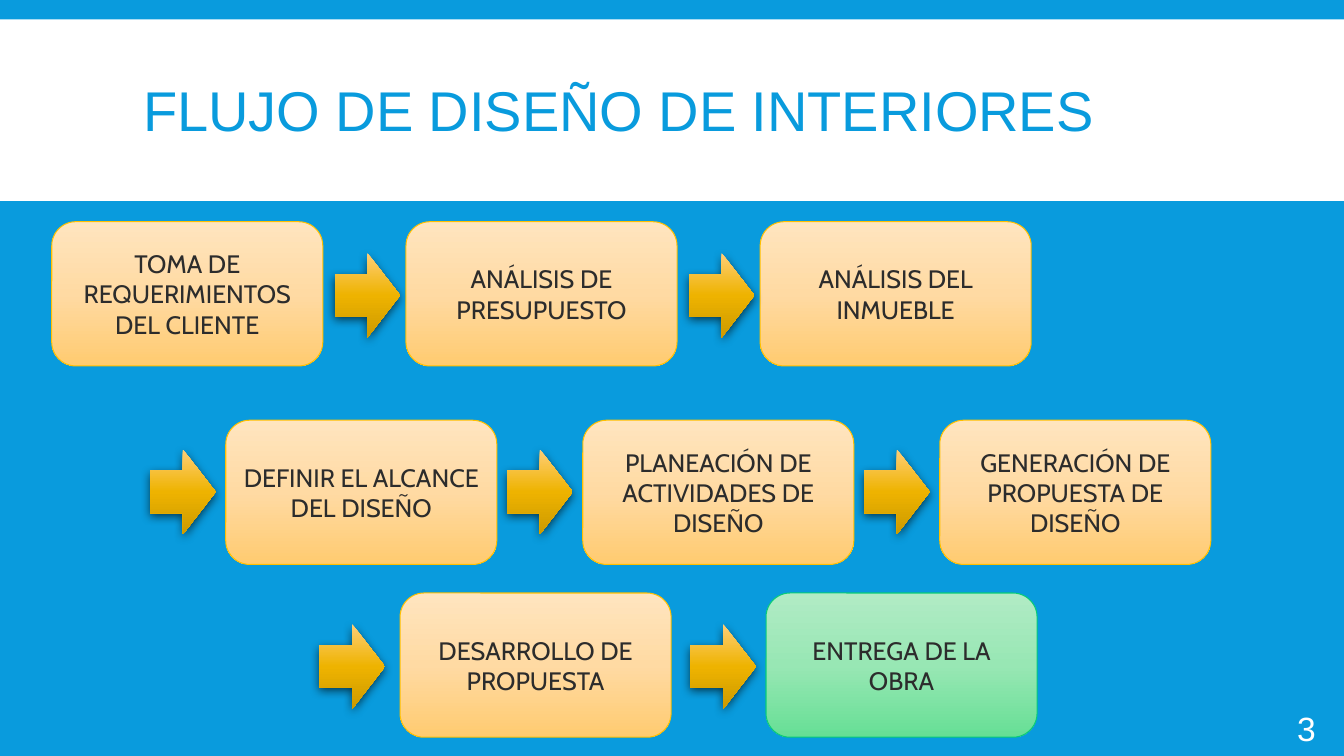
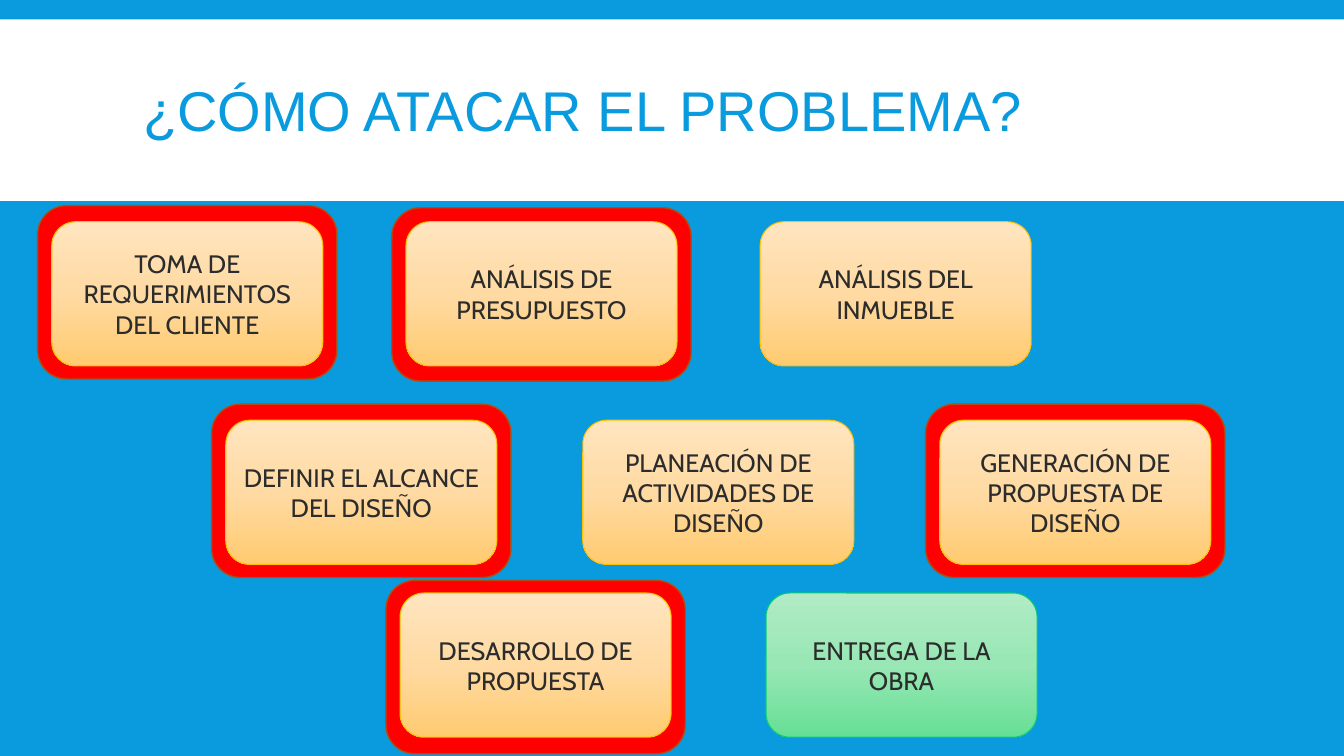
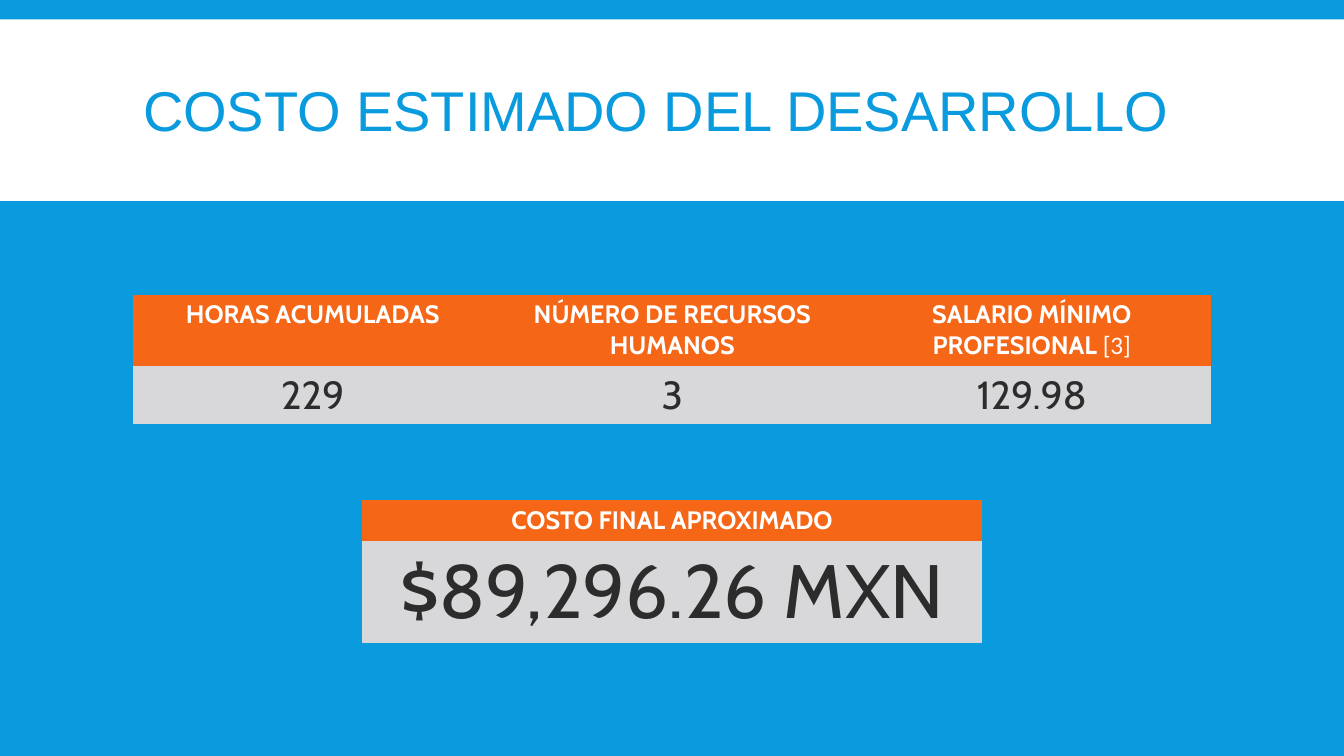
import copy

import lxml.etree
import pptx
import pptx.dml.color
import pptx.enum.shapes
import pptx.enum.text
import pptx.oxml.ns
import pptx.util

Pt = pptx.util.Pt
RGB = pptx.dml.color.RGBColor
SHAPE = pptx.enum.shapes.MSO_SHAPE
ALIGN = pptx.enum.text.PP_ALIGN
ANCHOR = pptx.enum.text.MSO_ANCHOR
qn = pptx.oxml.ns.qn

# Colours
BLUE = RGB(0x09, 0x9B, 0xDD)
WHITE = RGB(0xFF, 0xFF, 0xFF)
INK = RGB(0x2C, 0x2C, 0x2C)
ORANGE = RGB(0xF5, 0x66, 0x17)
GREY = RGB(0xD8, 0xD8, 0xDA)
RED = RGB(0xFF, 0x00, 0x00)
RUST = RGB(0xB5, 0x4B, 0x11)
GOLD = RGB(0xFF, 0xC0, 0x00)
GREEN = RGB(0x08, 0xCC, 0x78)
STEP_SHADES = (RGB(0xFF, 0xE5, 0xBF), RGB(0xFF, 0xDA, 0xA3), RGB(0xFF, 0xCB, 0x70))
DELIVERY_SHADES = (RGB(0xB1, 0xEB, 0xC5), RGB(0x98, 0xE7, 0xB4), RGB(0x66, 0xDF, 0x95))
ARROW_SHADES = (RGB(0xFF, 0xCE, 0x77), RGB(0xEE, 0xB3, 0x00), RGB(0xCC, 0x9A, 0x00))

# Text formats
TITLE_TEXT = {"size": Pt(40), "name": "Arial", "color": BLUE, "bold": False}
STEP_TEXT = {"size": Pt(18), "name": "Cabin", "color": INK}
PAGE_TEXT = {"size": Pt(24), "name": "Arial", "color": WHITE}
HEADER_TEXT = {"size": Pt(18), "name": "Cabin", "color": WHITE, "bold": True}
CITATION_TEXT = HEADER_TEXT | {"name": "Calibri", "bold": False}
VALUE_TEXT = {"size": Pt(28), "name": "Cabin", "color": INK, "bold": False}
TOTAL_TEXT = VALUE_TEXT | {"size": Pt(54)}

# Content: each step is (text, distance from its arrow's left edge to the box,
# rise of its red frame above the box); None means no arrow or no frame
FLOW_TITLE = "FLUJO DE DISEÑO DE INTERIORES"
PROBLEM_TITLE = "¿CÓMO ATACAR EL PROBLEMA?"
COST_TITLE = "COSTO ESTIMADO DEL DESARROLLO"
DELIVERY = "ENTREGA DE LA OBRA"
FLOW_ROWS = [
    {"left": 37, "top": 158.4, "pitch": 253, "arrow_drop": 22.3, "steps": [
        ("TOMA DE REQUERIMIENTOS DEL CLIENTE", None, 11.5),
        ("ANÁLISIS DE PRESUPUESTO", 51, 10),
        ("ANÁLISIS DEL INMUEBLE", 51, None)]},
    {"left": 161.3, "top": 300.2, "pitch": 255, "arrow_drop": 20.9, "steps": [
        ("DEFINIR EL ALCANCE DEL DISEÑO", 54, 11.5),
        ("PLANEACIÓN DE ACTIVIDADES DE DISEÑO", 54, None),
        ("GENERACIÓN DE PROPUESTA DE DISEÑO", 54, 11.5)]},
    {"left": 285.8, "top": 423.6, "pitch": 261.4, "arrow_drop": 22.3, "steps": [
        ("DESARROLLO DE PROPUESTA", 57.6, 9),
        (DELIVERY, 54, None)]},
]
# Table cells are lists of (text, format) runs
COST_TABLES = [
    {"left": 95, "top": 210.4, "width": 770.4, "heights": (51.4, 40.7), "rows": [
        [[("HORAS ACUMULADAS", HEADER_TEXT)],
         [("NÚMERO DE RECURSOS HUMANOS", HEADER_TEXT)],
         [("SALARIO MÍNIMO PROFESIONAL ", HEADER_TEXT), ("[3]", CITATION_TEXT)]],
        [[(value, VALUE_TEXT)] for value in ("229", "3", "129.98")]]},
    {"left": 258.6, "top": 357.1, "width": 442.8, "heights": (29.3, 72.6), "rows": [
        [[("COSTO FINAL APROXIMADO", HEADER_TEXT)]],
        [[("$89,296.26 MXN", TOTAL_TEXT)]]]},
]

# Sizes
SLIDE_W, SLIDE_H = 960, 540
BOX_W, BOX_H = 193.6, 103
FRAME_W, FRAME_H = 213.8, 123.8
ARROW_W, ARROW_H = 46.8, 60.5
PLAIN_TABLE_STYLE = "{2D5ABB26-0587-4C30-8999-92F81FD0307C}"


def add_runs(paragraph, runs, align=ALIGN.CENTER):
    paragraph.alignment = align
    for text, formats in runs:
        run = paragraph.add_run()
        run.text = text
        for key, value in formats.items():
            if key == "color":
                run.font.color.rgb = value
            else:
                setattr(run.font, key, value)


def add_block(slide, kind, left, top, width, height, fill, line=None, weight=0.75):
    """Add a preset shape; fill is one colour or a tuple of three shades."""
    block = slide.shapes.add_shape(kind, Pt(left), Pt(top), Pt(width), Pt(height))
    block.shadow.inherit = False
    if isinstance(fill, RGB):
        block.fill.solid()
        block.fill.fore_color.rgb = fill
    else:
        block.fill.gradient()
        block.fill.gradient_angle = 270
        stops = block.element.spPr.find(".//" + qn("a:gsLst"))
        stops.append(copy.deepcopy(stops[0]))
        for index, (stop, shade) in enumerate(zip(block.fill.gradient_stops, fill)):
            stop.position = index / 2
            stop.color.rgb = shade
    if line is None:
        block.line.fill.background()
    else:
        block.line.color.rgb = line
        block.line.width = Pt(weight)
    return block


def add_arrow(slide, left, top):
    arrow = add_block(slide, SHAPE.RIGHT_ARROW, left, top, ARROW_W, ARROW_H, ARROW_SHADES)
    effects = arrow.element.spPr.find(qn("a:effectLst"))
    shadow = lxml.etree.SubElement(effects, qn("a:outerShdw"), {
        "blurRad": str(Pt(7)), "dist": str(Pt(2.2)), "dir": "5400000",
        "algn": "ctr", "rotWithShape": "0"})
    black = lxml.etree.SubElement(shadow, qn("a:srgbClr"), val="000000")
    lxml.etree.SubElement(black, qn("a:alpha"), val="63000")


def add_flow(slide, arrows=False, frames=False):
    for row in FLOW_ROWS:
        for index, (text, lead, rise) in enumerate(row["steps"]):
            left, top = row["left"] + index * row["pitch"], row["top"]
            if frames and rise is not None:
                add_block(slide, SHAPE.ROUNDED_RECTANGLE, left - (FRAME_W - BOX_W) / 2,
                          top - rise, FRAME_W, FRAME_H, RED, RUST, 1)
            shades, edge = (DELIVERY_SHADES, GREEN) if text == DELIVERY else (STEP_SHADES, GOLD)
            step = add_block(slide, SHAPE.ROUNDED_RECTANGLE, left, top, BOX_W, BOX_H, shades, edge)
            step.text_frame.word_wrap = True
            step.text_frame.vertical_anchor = ANCHOR.MIDDLE
            add_runs(step.text_frame.paragraphs[0], [(text, STEP_TEXT)])
            if arrows and lead is not None:
                add_arrow(slide, left - lead, top + row["arrow_drop"])


def add_cost_table(slide, left, top, width, heights, rows):
    columns = len(rows[0])
    table = slide.shapes.add_table(len(rows), columns, Pt(left), Pt(top),
                                   Pt(width), Pt(sum(heights))).table
    table._tbl.tblPr.find(qn("a:tableStyleId")).text = PLAIN_TABLE_STYLE
    table.horz_banding = False
    for column in table.columns:
        column.width = Pt(width / columns)
    for row, height, cells, fill in zip(table.rows, heights, rows, (ORANGE, GREY)):
        row.height = Pt(height)
        for cell, runs in zip(row.cells, cells):
            cell.fill.solid()
            cell.fill.fore_color.rgb = fill
            add_runs(cell.text_frame.paragraphs[0], runs)


def prepare_layout(prs):
    """Give the title layout its blue ground, white band and title place."""
    ground = prs.slide_master.background.fill
    ground.solid()
    ground.fore_color.rgb = BLUE
    layout = prs.slide_layouts[5]
    title = layout.placeholders[0]
    place = {"left": Pt(95), "top": Pt(22.3), "width": Pt(770.4), "height": Pt(118.8)}
    for key, value in place.items():
        setattr(title, key, value)
    return layout


def add_titled_slide(prs, layout, text):
    slide = prs.slides.add_slide(layout)
    frame = slide.shapes.title.text_frame
    formats = {"word_wrap": True, "vertical_anchor": ANCHOR.MIDDLE,
               "auto_size": pptx.enum.text.MSO_AUTO_SIZE.NONE}
    for key, value in formats.items():
        setattr(frame, key, value)
    frame.paragraphs[0].line_spacing = 0.85
    add_runs(frame.paragraphs[0], [(text, TITLE_TEXT)], ALIGN.LEFT)
    return slide


def main():
    prs = pptx.Presentation()
    prs.slide_width, prs.slide_height = Pt(SLIDE_W), Pt(SLIDE_H)
    layout = prepare_layout(prs)

    # Design flow
    flow = add_titled_slide(prs, layout, FLOW_TITLE)
    band = add_block(flow, SHAPE.RECTANGLE, 0, 13.9, SLIDE_W, 129.6, WHITE)
    layout.shapes.element.insert(2, band.element)  # the band belongs to the layout
    add_flow(flow, arrows=True)
    page = flow.shapes.add_textbox(Pt(919.4), Pt(501.8), Pt(30.2), Pt(36))
    page.text_frame.word_wrap = True
    add_runs(page.text_frame.paragraphs[0], [("3", PAGE_TEXT)], ALIGN.LEFT)

    # Steps to tackle
    problem = add_titled_slide(prs, layout, PROBLEM_TITLE)
    add_flow(problem, frames=True)

    # Estimated cost
    cost = add_titled_slide(prs, layout, COST_TITLE)
    for cost_table in COST_TABLES:
        add_cost_table(cost, **cost_table)

    prs.save("out.pptx")


if __name__ == "__main__":
    main()
